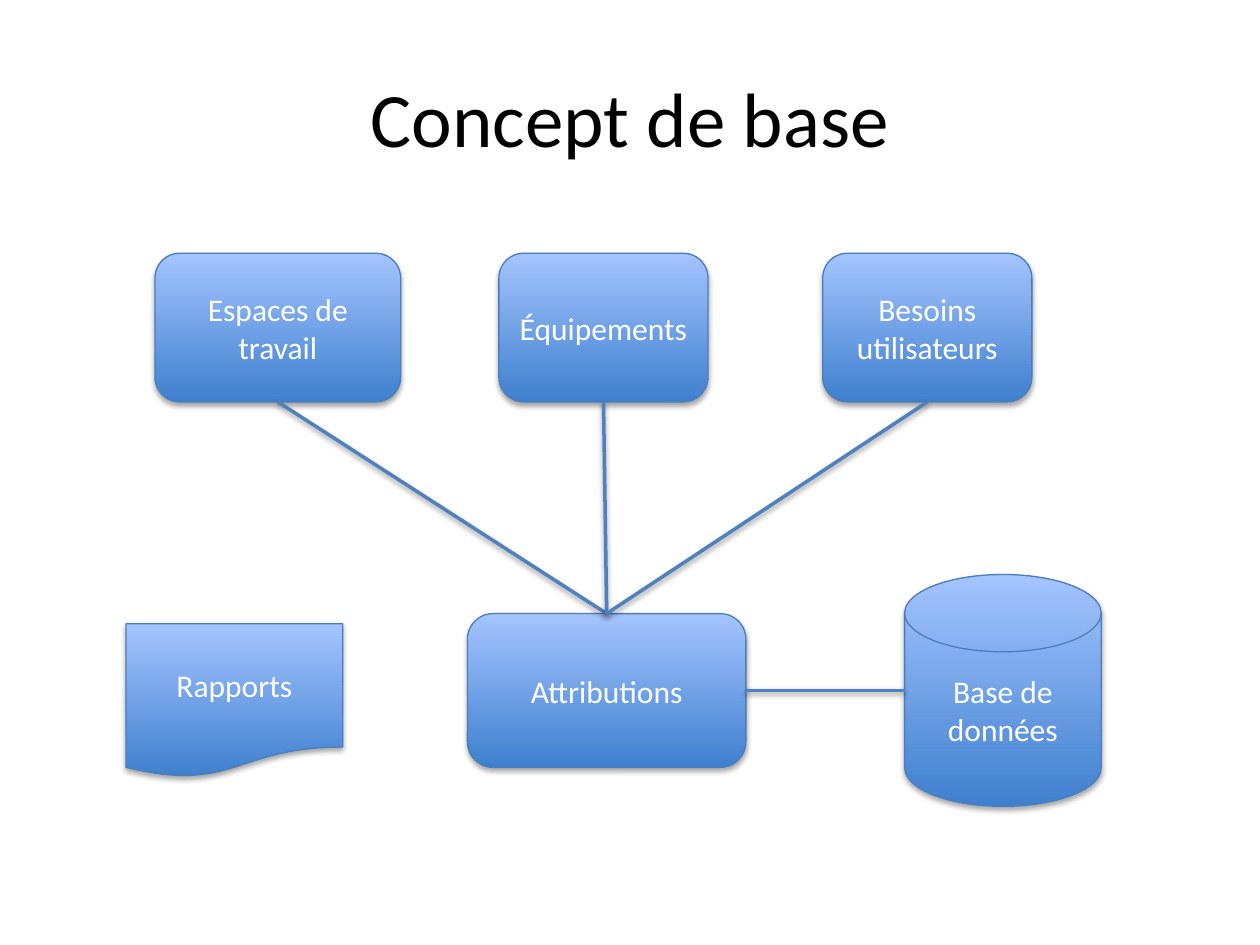
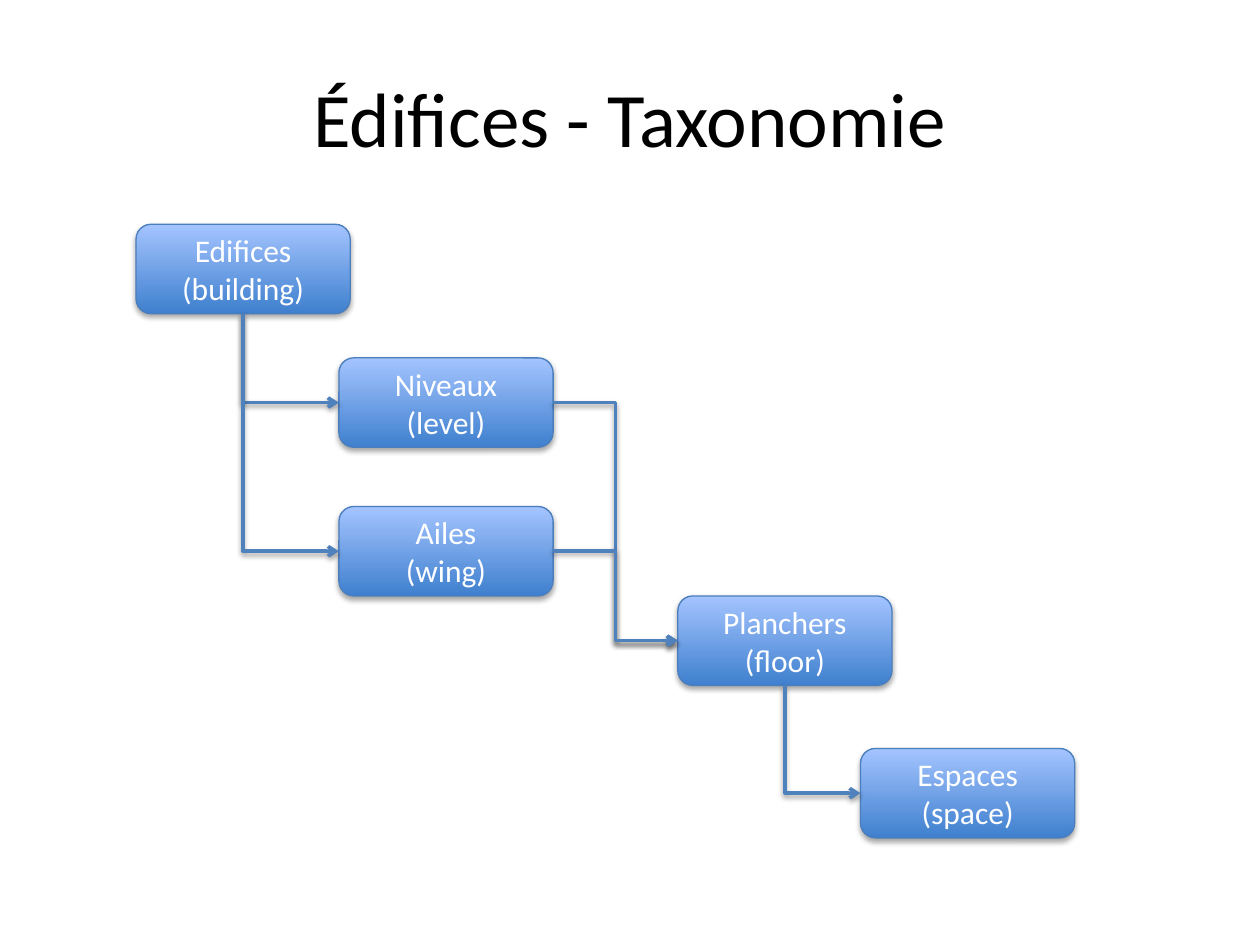
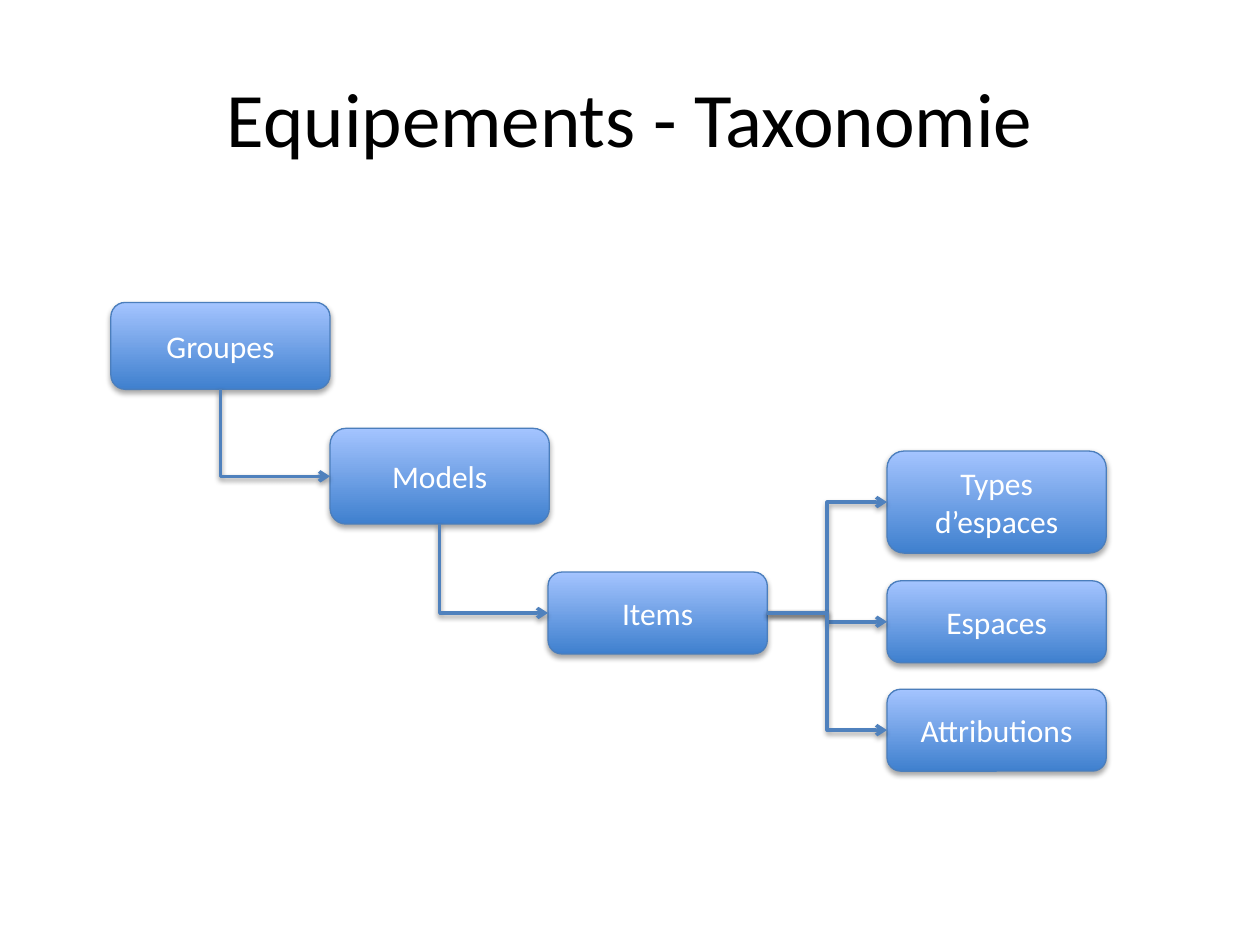
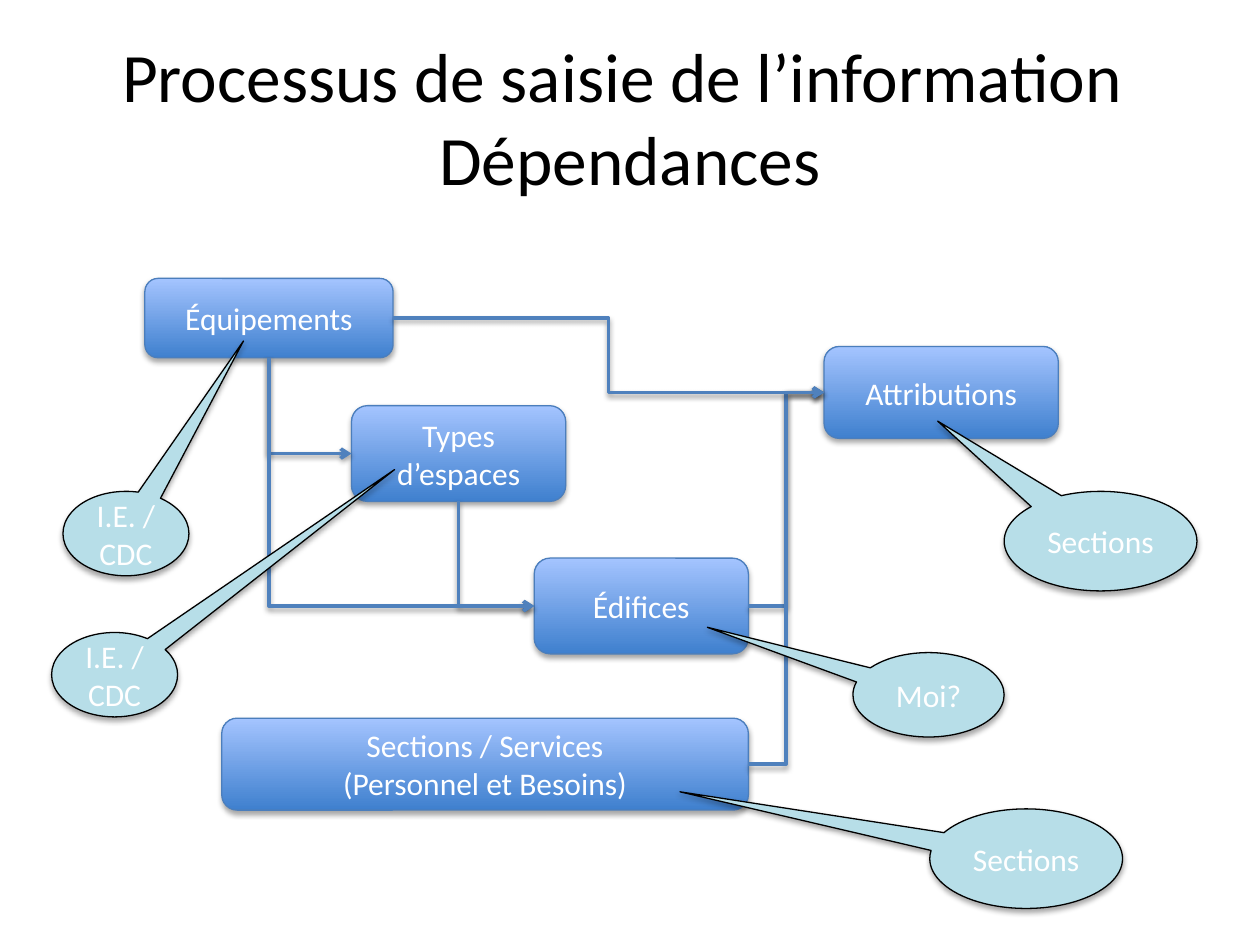
import pptx
import pptx.util
from lxml import etree
from pptx.dml.color import RGBColor
from pptx.enum.shapes import MSO_CONNECTOR, MSO_SHAPE
from pptx.enum.text import MSO_ANCHOR, PP_ALIGN
from pptx.oxml.ns import qn
from pptx.util import Inches

FONT = "Calibri"
BLACK = RGBColor(0x00, 0x00, 0x00)
WHITE = RGBColor(0xFF, 0xFF, 0xFF)
BOX_DARK = RGBColor(0x3F, 0x80, 0xCE)
BOX_LIGHT = RGBColor(0xA4, 0xC4, 0xFF)
BOX_EDGE = RGBColor(0x4B, 0x7E, 0xBC)
LINK_BLUE = RGBColor(0x4F, 0x81, 0xBD)
CALLOUT_FILL = RGBColor(0xB7, 0xDE, 0xE8)

TOP, LEFT, BOTTOM, RIGHT = range(4)
DISK_LEFT = 2


def format_text(frame, text, size, color):
    frame.text = text
    frame.word_wrap = True
    frame.vertical_anchor = MSO_ANCHOR.MIDDLE
    for paragraph in frame.paragraphs:
        paragraph.alignment = PP_ALIGN.CENTER
        for run in paragraph.runs:
            run.font.name = FONT
            run.font.size = pptx.util.Pt(size)
            run.font.color.rgb = color


def fill_shadow(effects, distance, opacity):
    shadow = etree.SubElement(
        effects, qn("a:outerShdw"), blurRad="40000", dist=str(distance),
        dir="5400000", rotWithShape="0")
    color = etree.SubElement(shadow, qn("a:srgbClr"), val="000000")
    etree.SubElement(color, qn("a:alpha"), val=str(opacity * 1000))


def add_titled_slide(prs, title, size=44):
    slide = prs.slides.add_slide(prs.slide_layouts[5])
    heading = slide.shapes.title
    heading.left, heading.top = Inches(0.5), Inches(0.3)
    heading.width, heading.height = Inches(9), Inches(1.25)
    format_text(heading.text_frame, title, size, BLACK)
    return slide


def add_node(slide, kind, text, at, edge):
    node = slide.shapes.add_shape(kind, *(Inches(length) for length in at))
    node.shadow.inherit = False
    fill_shadow(node.element.spPr.find(qn("a:effectLst")), 23000, 35)
    node.line.color.rgb = edge
    node.line.width = pptx.util.Pt(0.75)
    format_text(node.text_frame, text, 18, WHITE)
    return node


def add_box(slide, text, left, top, width, height,
            kind=MSO_SHAPE.ROUNDED_RECTANGLE):
    box = add_node(slide, kind, text, (left, top, width, height), BOX_EDGE)
    box.fill.gradient()
    box.fill.gradient_angle = 90
    for stop, color in zip(box.fill.gradient_stops, (BOX_DARK, BOX_LIGHT)):
        stop.color.rgb = color
    return box


def add_callout(slide, text, at, tip):
    callout = add_node(slide, MSO_SHAPE.OVAL_CALLOUT, text, at, BLACK)
    callout.fill.solid()
    callout.fill.fore_color.rgb = CALLOUT_FILL
    callout.adjustments[0], callout.adjustments[1] = tip


def add_link(slide, kind, source, source_site, target, target_site):
    link = slide.shapes.add_connector(kind, 0, 0, 0, 0)
    link.begin_connect(source, source_site)
    link.end_connect(target, target_site)
    link.line.color.rgb = LINK_BLUE
    link.line.width = pptx.util.Pt(2)
    effects = etree.SubElement(link.element.spPr, qn("a:effectLst"))
    fill_shadow(effects, 20000, 38)
    return link


def add_arrow(slide, source, source_site, target):
    arrow = add_link(slide, MSO_CONNECTOR.ELBOW, source, source_site,
                     target, LEFT)
    outline = arrow.element.spPr.find(qn("a:ln"))
    etree.SubElement(outline, qn("a:tailEnd"), type="arrow")
    return arrow


def add_across(slide, source, target):
    add_arrow(slide, source, RIGHT, target)


def add_down(slide, source, target):
    arrow = add_arrow(slide, source, BOTTOM, target)
    run, drop = arrow.width, arrow.height
    arrow.left += (run - drop) // 2
    arrow.top += (drop - run) // 2
    arrow.width, arrow.height = drop, run
    properties = arrow.element.spPr
    properties.find(qn("a:prstGeom")).set("prst", "bentConnector2")
    frame = properties.find(qn("a:xfrm"))
    frame.set("rot", "16200000")
    frame.set("flipH", "1")


def build_concept(prs):
    slide = add_titled_slide(prs, "Concept de base")
    inputs = [
        add_box(slide, text, left, 2.01, width, 1.18)
        for text, left, width in (
            ("Espaces de travail", 1.23, 1.95),
            ("Équipements", 3.96, 1.66),
            ("Besoins utilisateurs", 6.53, 1.66))]
    database = add_box(slide, "Base de données", 7.18, 4.56, 1.56, 1.84,
                       MSO_SHAPE.FLOWCHART_MAGNETIC_DISK)
    assignments = add_box(slide, "Attributions", 3.71, 4.87, 2.21, 1.22)
    add_box(slide, "Rapports", 1, 4.95, 1.72, 1.22,
            MSO_SHAPE.FLOWCHART_DOCUMENT)
    for source in inputs:
        add_link(slide, MSO_CONNECTOR.STRAIGHT, source, BOTTOM,
                 assignments, TOP)
    storage = add_link(slide, MSO_CONNECTOR.STRAIGHT, assignments, RIGHT,
                       database, DISK_LEFT)
    storage.end_x = database.left
    storage.end_y = database.top + database.height // 2


def build_buildings(prs):
    slide = add_titled_slide(prs, "Édifices - Taxonomie")
    building, level, wing, floor, space = [
        add_box(slide, text, left, top, 1.7, 0.71)
        for text, left, top in (
            ("Edifices\v(building)", 1.08, 1.78),
            ("Niveaux\v(level)", 2.69, 2.84),
            ("Ailes\v(wing)", 2.69, 4.02),
            ("Planchers\v(floor)", 5.38, 4.73),
            ("Espaces\v(space)", 6.83, 5.94))]
    for part in (level, wing):
        add_down(slide, building, part)
        add_across(slide, part, floor)
    add_down(slide, floor, space)


def build_equipment(prs):
    slide = add_titled_slide(prs, "Equipements - Taxonomie")
    group, model, item, *destinations = [
        add_box(slide, text, left, top, 1.74, height)
        for text, left, top, height in (
            ("Groupes", 0.88, 2.4, 0.69),
            ("Models", 2.62, 3.4, 0.76),
            ("Items", 4.35, 4.54, 0.65),
            ("Types d’espaces", 7.04, 3.58, 0.81),
            ("Espaces", 7.04, 4.61, 0.65),
            ("Attributions", 7.04, 5.47, 0.65))]
    add_down(slide, group, model)
    add_down(slide, model, item)
    for destination in destinations:
        add_across(slide, item, destination)


def build_dependencies(prs):
    slide = add_titled_slide(
        prs, "Processus de saisie de l’information \vDépendances", 39.6)
    buildings = add_box(slide, "Édifices", 4.24, 4.43, 1.7, 0.76)
    space_types = add_box(slide, "Types d’espaces", 2.79, 3.22, 1.7, 0.76)
    equipment = add_box(slide, "Équipements", 1.15, 2.21, 1.97, 0.63)
    sections = add_box(slide, "Sections / Services\v(Personnel et Besoins)",
                       1.76, 5.7, 4.18, 0.73)
    assignments = add_box(slide, "Attributions", 6.54, 2.75, 1.86, 0.73)
    for source, target in ((equipment, space_types),
                           (space_types, buildings),
                           (equipment, buildings)):
        add_down(slide, source, target)
    for source in (buildings, sections, equipment):
        add_across(slide, source, assignments)
    for text, at, tip in (
            ("Moi?", (6.77, 5.18, 1.2, 0.67), (-1.463, -0.8)),
            ("I.E. / CDC", (0.5, 3.9, 1, 0.67), (0.933, -2.281)),
            ("I.E. / CDC", (0.41, 5.02, 1, 0.67), (2.222, -2.429)),
            ("Sections", (7.97, 3.9, 1.53, 0.79), (-0.845, -1.206)),
            ("Sections", (7.38, 6.42, 1.53, 0.79), (-1.796, -0.672))):
        add_callout(slide, text, at, tip)


def main():
    prs = pptx.Presentation()
    prs.slide_width, prs.slide_height = Inches(10), Inches(7.5)
    build_concept(prs)
    build_buildings(prs)
    build_equipment(prs)
    build_dependencies(prs)
    prs.save("out.pptx")


main()
